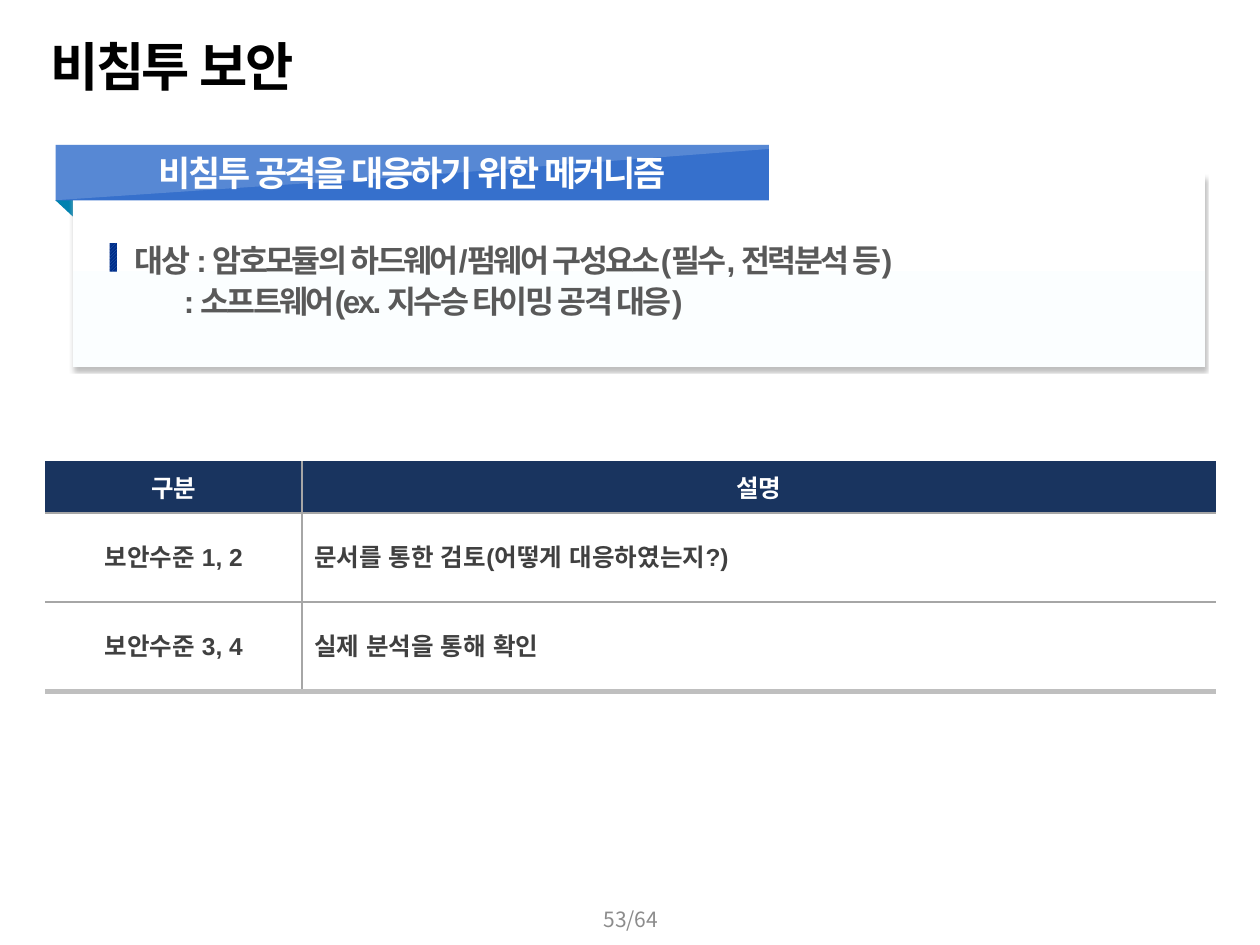
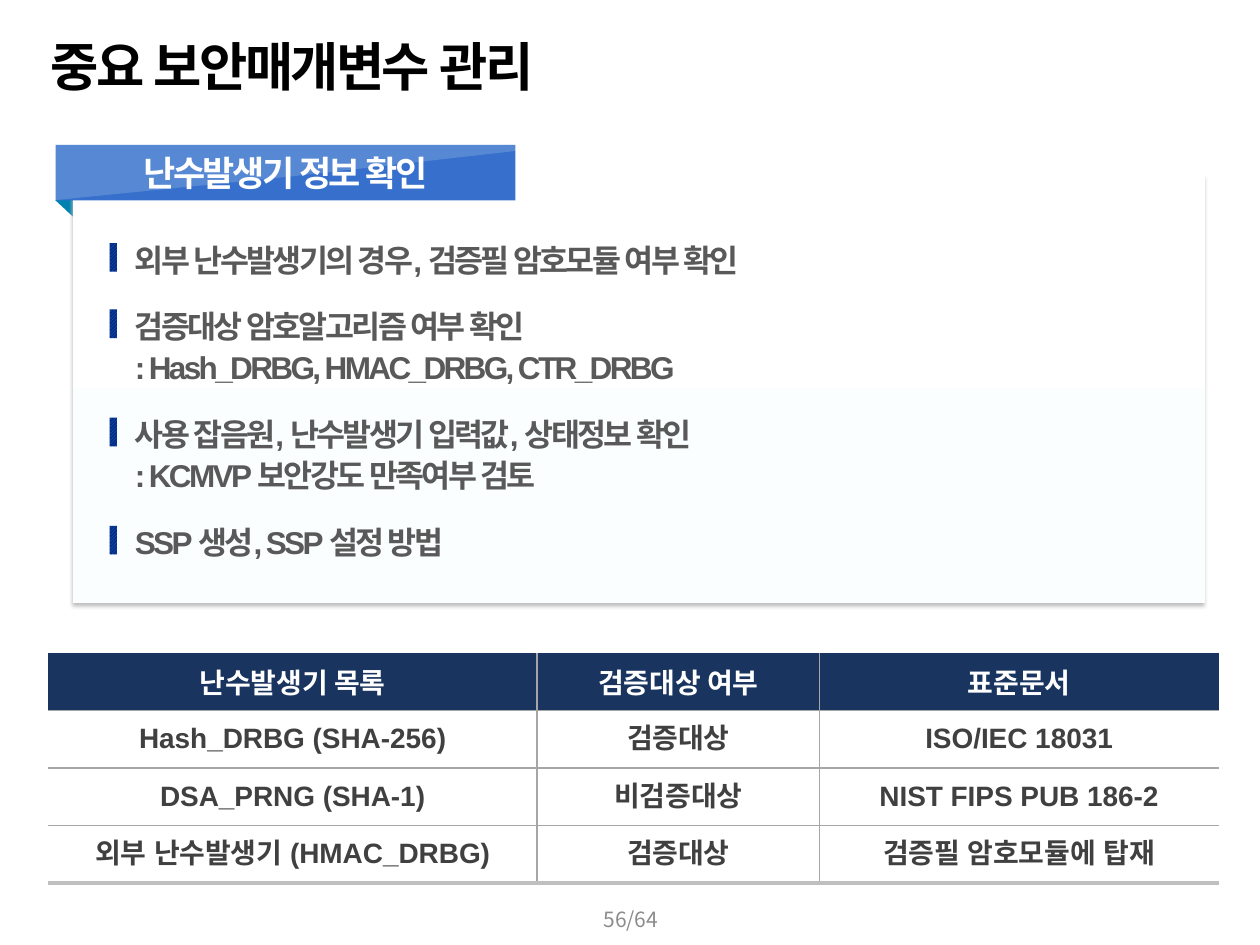
from dataclasses import dataclass

from lxml import etree
from pptx import Presentation
from pptx.dml.color import RGBColor
from pptx.enum.dml import MSO_PATTERN
from pptx.enum.shapes import MSO_SHAPE
from pptx.enum.text import MSO_ANCHOR, PP_ALIGN
from pptx.oxml.ns import qn
from pptx.util import Cm, Pt

RECTANGLE = MSO_SHAPE.RECTANGLE
RIGHT_TRIANGLE = MSO_SHAPE.RIGHT_TRIANGLE
UPWARD_DIAGONAL = MSO_PATTERN.LIGHT_UPWARD_DIAGONAL
TOP, MIDDLE = MSO_ANCHOR.TOP, MSO_ANCHOR.MIDDLE
LEFT, CENTER = PP_ALIGN.LEFT, PP_ALIGN.CENTER

LATIN = "Arial"
KOREAN = "Noto Sans CJK KR"
WHITE, BLACK = "FFFFFF", "000000"
BAND_BLUE, FOLD_TEAL = "3670CC", "0082B0"
PANEL_TINT, SHADOW_GRAY = "FBFEFF", "BFBFBF"
MARKER_LIGHT, MARKER_DARK = "2E64B4", "002D89"
HEADER_NAVY, RULE_GRAY = "19345F", "A6A6A6"
BULLET_GRAY, CELL_GRAY, PAGE_GRAY = "595959", "404040", "8C8C8C"

BAND_LEFT, BAND_TOP, BAND_HEIGHT = 1.12, 2.92, 1.12
BULLET_LEFT, BULLET_TOP, BULLET_GAP = 2.21, 4.85, 0.58
LINE_HEIGHT, LINE_PITCH = 0.76, 0.84


@dataclass
class Style:
    size: int
    color: str
    font: str = LATIN
    bold: bool = True
    spacing: float = 0
    align: int = LEFT


TITLE = Style(30, BLACK, spacing=-1.5)
LABEL = Style(20, WHITE, spacing=-1.5, align=CENTER)
BULLET = Style(18, BULLET_GRAY, spacing=-1.5)
PAGE_NUMBER = Style(12, PAGE_GRAY, KOREAN, bold=False, align=CENTER)


def rgb(code):
    return RGBColor.from_string(code)


def lengths(*values):
    return [Cm(value) for value in values]


def write_paragraph(para, text, style, indent=0):
    para.text = text
    para.alignment = style.align
    properties = para._p.get_or_add_pPr()
    if indent:
        properties.set("marL", str(Cm(indent)))
        properties.set("indent", "0")
    font = para.font
    font.size, font.bold, font.name = Pt(style.size), style.bold, style.font
    font.color.rgb = rgb(style.color)
    defaults = properties.find(qn("a:defRPr"))
    defaults.set("spc", str(round(style.spacing * 100)))
    etree.SubElement(defaults, qn("a:ea"), typeface=style.font)


def set_margins(holder, left, top, right, bottom):
    holder.margin_left, holder.margin_top = Cm(left), Cm(top)
    holder.margin_right, holder.margin_bottom = Cm(right), Cm(bottom)


def add_text(shapes, frame, lines, style, margins=(0.25, 0.13, 0.25, 0.13),
             anchor=TOP, indent=0):
    box = shapes.add_textbox(*lengths(*frame))
    text_frame = box.text_frame
    text_frame.word_wrap = True
    text_frame.vertical_anchor = anchor
    set_margins(text_frame, *margins)
    for number, line in enumerate(lines):
        para = text_frame.paragraphs[0] if number == 0 else text_frame.add_paragraph()
        write_paragraph(para, line, style, indent if number else 0)
        if number:
            para.space_before = Pt(2)


def make_plain(shape, color=None):
    shape.shadow.inherit = False
    shape.line.fill.background()
    if color:
        shape.fill.solid()
        shape.fill.fore_color.rgb = rgb(color)
    return shape


def add_block(shapes, kind, frame, color=None):
    return make_plain(shapes.add_shape(kind, *lengths(*frame)), color)


def add_fold(page):
    fold = add_block(page.shapes, RIGHT_TRIANGLE, (1.14, 4.01, 0.69, 0.74), FOLD_TEAL)
    fold.rotation = 270
    fold._element.spPr.find(qn("a:xfrm")).set("flipH", "1")


def add_panel(page, height):
    panel = add_block(page.shapes, RECTANGLE, (1.47, 3.51, 22.83, height))
    panel.fill.gradient()
    panel.fill.gradient_angle = 270
    for stop, color in zip(panel.fill.gradient_stops, (WHITE, PANEL_TINT)):
        stop.color.rgb = rgb(color)
    effects = panel._element.spPr.find(qn("a:effectLst"))
    shadow = etree.SubElement(effects, qn("a:outerShdw"), blurRad=str(Pt(2)),
                              dist=str(Pt(2)), dir="5400000", algn="t", rotWithShape="0")
    etree.SubElement(shadow, qn("a:srgbClr"), val=SHADOW_GRAY)


def add_gloss(page, width):
    left = BAND_LEFT - 0.05
    corners = [(left + width, BAND_TOP),
               (left + width * 0.46, BAND_TOP + BAND_HEIGHT * 0.57),
               (left, BAND_TOP + BAND_HEIGHT)]
    builder = page.shapes.build_freeform(Cm(left), Cm(BAND_TOP))
    builder.add_line_segments([lengths(*corner) for corner in corners])
    gloss = make_plain(builder.convert_to_shape(), WHITE)
    color = gloss._element.spPr.find(qn("a:solidFill"))[0]
    etree.SubElement(color, qn("a:alpha"), val="17000")


def add_band(page, label, width):
    frame = (BAND_LEFT, BAND_TOP, width, BAND_HEIGHT)
    add_block(page.shapes, RECTANGLE, frame, BAND_BLUE)
    add_gloss(page, width + 1.15)
    add_text(page.shapes, frame, [label], LABEL, (0, 0, 0, 0), MIDDLE)


def add_bullets(page, bullets, indent):
    top = BULLET_TOP
    for lines in bullets:
        height = LINE_HEIGHT + LINE_PITCH * (len(lines) - 1)
        group = page.shapes.add_group_shape()
        add_text(group.shapes, (BULLET_LEFT, top, 22.05, height), lines, BULLET,
                 (0.51, 0, 0.1, 0), indent=indent)
        marker = add_block(group.shapes, RECTANGLE, (BULLET_LEFT, top + 0.05, 0.15, 0.58))
        marker.fill.patterned()
        marker.fill.pattern = UPWARD_DIAGONAL
        marker.fill.fore_color.rgb = rgb(MARKER_LIGHT)
        marker.fill.back_color.rgb = rgb(MARKER_DARK)
        top += height + BULLET_GAP


def add_border(cell, side, visible=True, width=1, color=RULE_GRAY):
    line = etree.SubElement(cell._tc.get_or_add_tcPr(), qn(f"a:ln{side}"), w=str(Pt(width)))
    if visible:
        fill = etree.SubElement(line, qn("a:solidFill"))
        etree.SubElement(fill, qn("a:srgbClr"), val=color)
    else:
        etree.SubElement(line, qn("a:noFill"))


def border_cell(cell, row, column, last_row, last_column):
    add_border(cell, "L", column > 0)
    add_border(cell, "R", column < last_column)
    add_border(cell, "T", row > 0)
    if row < last_row:
        add_border(cell, "B")
    else:
        add_border(cell, "B", width=3, color=SHADOW_GRAY)


def add_grid(page, left, top, widths, heights, rows, size, left_columns=()):
    frame = lengths(left, top, sum(widths), sum(heights))
    table = page.shapes.add_table(len(rows), len(widths), *frame).table
    table.horz_banding = False
    for column, width in zip(table.columns, widths):
        column.width = Cm(width)
    for r, (height, texts) in enumerate(zip(heights, rows)):
        table.rows[r].height = Cm(height)
        for c, text in enumerate(texts):
            cell = table.cell(r, c)
            header = r == 0
            flush_left = c in left_columns and not header
            border_cell(cell, r, c, len(rows) - 1, len(widths) - 1)
            cell.fill.solid()
            cell.fill.fore_color.rgb = rgb(HEADER_NAVY if header else WHITE)
            cell.vertical_anchor = MIDDLE
            set_margins(cell, 0.24 if flush_left else 0.1, 0.05, 0.1, 0.05)
            style = Style(size, WHITE if header else CELL_GRAY, KOREAN if header else LATIN,
                          align=LEFT if flush_left else CENTER)
            write_paragraph(cell.text_frame.paragraphs[0], text, style)


def add_page(deck, title, label, band_width, panel_height, bullets, number, indent=0):
    page = deck.slides.add_slide(deck.slide_layouts[6])
    add_text(page.shapes, (0.61, 0.56, 14, 1.45), [title], TITLE, (0.41, 0.13, 0.25, 0.13))
    add_fold(page)
    add_panel(page, panel_height)
    add_band(page, label, band_width)
    add_bullets(page, bullets, indent)
    add_text(page.shapes, (9.86, 18.01, 5.72, 1.02), [f"{number}/64"], PAGE_NUMBER,
             anchor=MIDDLE)
    return page


def main():
    deck = Presentation()
    deck.slide_width, deck.slide_height = lengths(25.4, 19.05)

    attacks = add_page(
        deck, "비침투 보안", "비침투 공격을 대응하기 위한 메커니즘", 14.38, 3.89,
        [["대상 : 암호모듈의 하드웨어/펌웨어 구성요소(필수, 전력분석 등)",
          ": 소프트웨어(ex. 지수승 타이밍 공격 대응)"]], 53, indent=0.99)
    add_grid(attacks, 0.91, 9.3, [5.18, 18.42], [1.04, 1.8, 1.8],
             [["구분", "설명"],
              ["보안수준 1, 2", "문서를 통한 검토(어떻게 대응하였는지?)"],
              ["보안수준 3, 4", "실제 분석을 통해 확인"]], 14, left_columns=(1,))

    parameters = add_page(
        deck, "중요 보안매개변수 관리", "난수발생기 정보 확인", 9.27, 8.64,
        [["외부 난수발생기의 경우, 검증필 암호모듈 여부 확인"],
         ["검증대상 암호알고리즘 여부 확인", ": Hash_DRBG, HMAC_DRBG, CTR_DRBG"],
         ["사용 잡음원, 난수발생기 입력값, 상태정보 확인", ": KCMVP 보안강도 만족여부 검토"],
         ["SSP 생성, SSP 설정 방법"]], 56)
    add_grid(parameters, 0.97, 13.16, [9.86, 5.69, 8.05], [1.16] * 4,
             [["난수발생기 목록", "검증대상 여부", "표준문서"],
              ["Hash_DRBG (SHA-256)", "검증대상", "ISO/IEC 18031"],
              ["DSA_PRNG (SHA-1)", "비검증대상", "NIST FIPS PUB 186-2"],
              ["외부 난수발생기 (HMAC_DRBG)", "검증대상", "검증필 암호모듈에 탑재"]], 16)

    deck.save("out.pptx")


if __name__ == "__main__":
    main()
